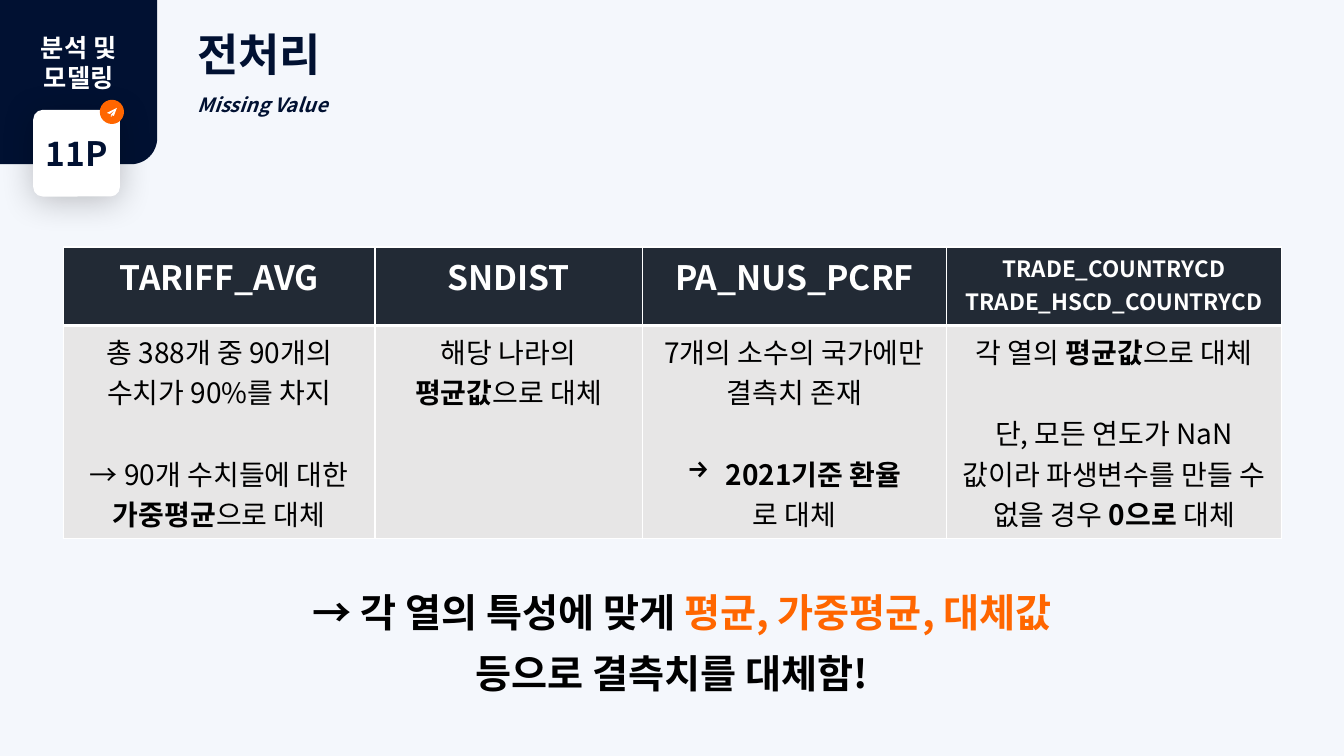
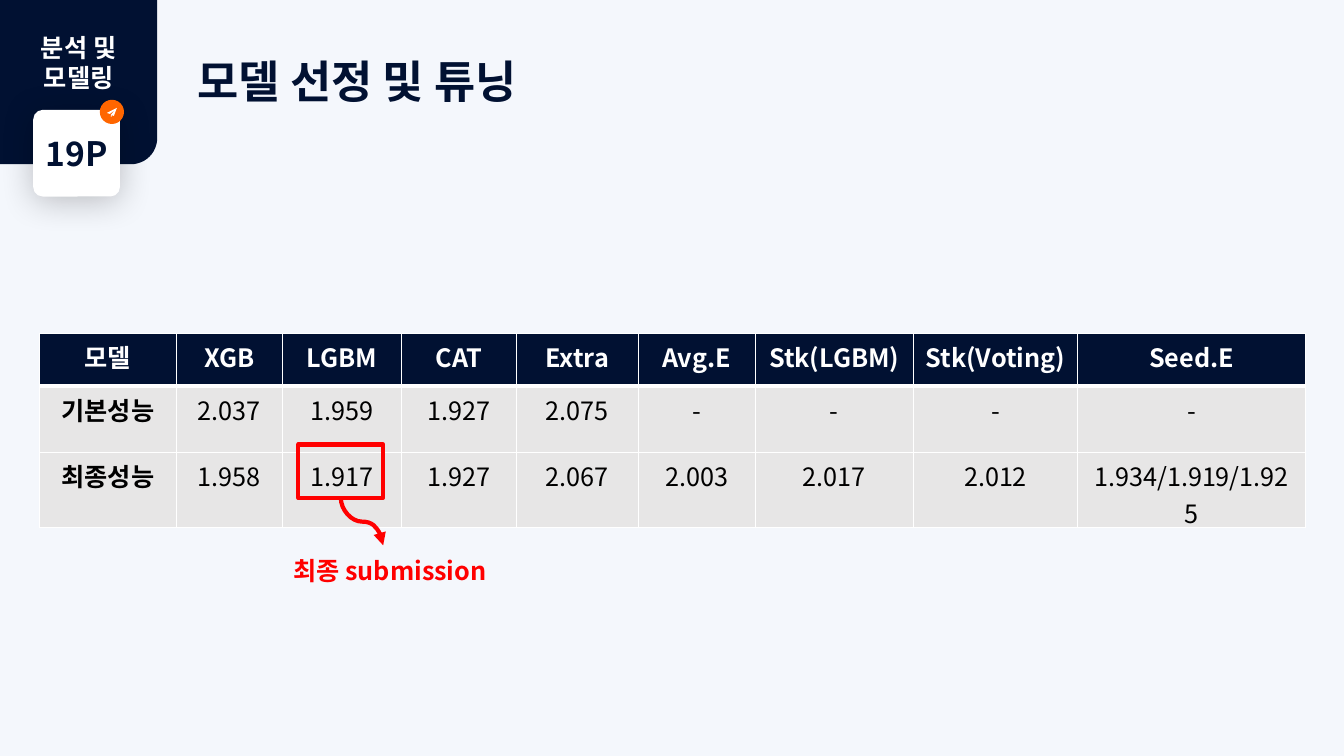
from dataclasses import dataclass

from lxml.etree import SubElement
from pptx import Presentation
from pptx.dml.color import RGBColor
from pptx.enum.shapes import MSO_CONNECTOR, MSO_SHAPE
from pptx.enum.text import MSO_ANCHOR, MSO_AUTO_SIZE, PP_ALIGN
from pptx.oxml.ns import qn
from pptx.util import Inches, Pt

FONT = "Noto Sans CJK KR"
COLORS = {
    "background": "F4F7FC",
    "navy": "011132",
    "slate": "222A35",
    "cell": "E7E6E6",
    "orange": "FF6600",
    "red": "FF0000",
    "white": "FFFFFF",
    "black": "000000",
}
BOLD = {"bold": True}
GAP = 29  # one line of 20 pt text, in points


@dataclass
class Para:
    """Runs are strings or (text, format) pairs."""
    runs: list
    align: PP_ALIGN = PP_ALIGN.CENTER
    before: float = 0
    spacing: float = None
    indent: float = 0
    bullet: str = None


def rgb(name):
    return RGBColor.from_string(COLORS[name])


def child(parent, tag, **attributes):
    return SubElement(parent, qn(tag), attributes)


# Text
def write_run(paragraph, text, fmt):
    run = paragraph.add_run()
    run.text = text
    values = {"name": FONT, "bold": False, **fmt}
    run.font.color.rgb = rgb(values.pop("color"))
    values["size"] = Pt(values["size"])
    for attribute, value in values.items():
        setattr(run.font, attribute, value)
    child(run.font._element, "a:ea", typeface=FONT)


def write(frame, paras, **fmt):
    for index, para in enumerate(paras):
        paragraph = frame.add_paragraph() if index else frame.paragraphs[0]
        paragraph.alignment = para.align
        if para.before:
            paragraph.space_before = Pt(para.before)
        if para.spacing:
            paragraph.line_spacing = para.spacing
        properties = paragraph._p.get_or_add_pPr()
        if para.indent:
            properties.set("marL", str(Inches(para.indent)))
        if para.bullet:
            properties.set("indent", str(-Inches(para.indent)))
            child(properties, "a:buChar", char=para.bullet)
        for run in para.runs:
            text, extra = (run, {}) if isinstance(run, str) else run
            write_run(paragraph, text, {**fmt, **extra})


def add_text(slide, left, top, width, height, paras, **fmt):
    box = slide.shapes.add_textbox(*map(Inches, (left, top, width, height)))
    box.text_frame.word_wrap = True
    box.text_frame.auto_size = MSO_AUTO_SIZE.SHAPE_TO_FIT_TEXT
    write(box.text_frame, paras, **fmt)


# Shapes
def paint(shape, fill):
    shape.shadow.inherit = False
    shape.fill.solid()
    shape.fill.fore_color.rgb = rgb(fill)
    shape.line.fill.background()


def add_block(slide, kind, left, top, width, height, fill):
    block = slide.shapes.add_shape(kind, *map(Inches, (left, top, width, height)))
    paint(block, fill)
    return block


def add_plane(slide, left, top):
    wing, *wings = [(10, 0), (0, 5), (3, 6), (8, 2), (4, 7), (7, 8)]
    tail, *tails = [(4, 7), (5, 8), (4, 9)]
    builder = slide.shapes.build_freeform(*wing, scale=Inches(0.01))
    builder.add_line_segments(wings, close=True)
    builder.move_to(*tail)
    builder.add_line_segments(tails, close=True)
    paint(builder.convert_to_shape(Inches(left), Inches(top)), "white")


def add_page_card(slide, left, top, page):
    side, dot = 0.86, 0.24
    card = add_block(slide, MSO_SHAPE.ROUNDED_RECTANGLE, left, top, side, side, "white")
    card.adjustments[0] = 0.11
    shadow = child(card._element.spPr.find(qn("a:effectLst")), "a:outerShdw",
                   blurRad=str(Pt(25)), dist=str(Pt(3)), dir="5400000", rotWithShape="0")
    shade = child(shadow, "a:srgbClr", val=COLORS["black"])
    child(shade, "a:alpha", val="24000")
    card.text_frame.word_wrap = False
    card.text_frame.vertical_anchor = MSO_ANCHOR.MIDDLE
    write(card.text_frame, [Para([page])], size=24, color="navy", bold=True)
    # Orange badge on the card's corner
    dot_left, dot_top = left + side - 0.2, top - 0.1
    add_block(slide, MSO_SHAPE.OVAL, dot_left, dot_top, dot, dot, "orange")
    add_plane(slide, dot_left + 0.07, dot_top + 0.08)


def add_base(deck, page, title):
    slide = deck.slides.add_slide(deck.slide_layouts[6])
    slide.background.fill.solid()
    slide.background.fill.fore_color.rgb = rgb("background")
    # Section corner, rounded at the bottom right
    corner = add_block(slide, MSO_SHAPE.ROUND_1_RECTANGLE, 0, 0, 1.56, 1.63, "navy")
    corner._element.spPr.xfrm.set("flipV", "1")
    add_page_card(slide, 0.33, 1.09, page)
    add_text(slide, 0, 0.27, 1.56, 0.71, [Para(["분석 및"]), Para(["모델링"])],
             size=18, color="white", bold=True)
    add_text(slide, 1.86, 0.22, 6.67, 0.95, title, size=32, color="navy", bold=True)
    return slide


# Tables
def fill_cell(cell, fill, top, bottom):
    properties = cell._tc.get_or_add_tcPr()
    for side, width in {"L": 1, "R": 1, "T": top, "B": bottom}.items():
        line = child(properties, f"a:ln{side}", w=str(Pt(width)))
        child(child(line, "a:solidFill"), "a:srgbClr", val=COLORS["white"])
    cell.fill.solid()
    cell.fill.fore_color.rgb = rgb(fill)


def add_grid(slide, left, top, widths, heights, rows, header, header_size, body_size):
    table = slide.shapes.add_table(
        len(rows), len(widths),
        *map(Inches, (left, top, sum(widths), sum(heights)))).table
    table.horz_banding = False
    for column, width in zip(table.columns, widths):
        column.width = Inches(width)
    for row, height in zip(table.rows, heights):
        row.height = Inches(height)
    for r, row in enumerate(rows):
        is_header = r == 0
        fmt = {"size": header_size if is_header else body_size,
               "color": "white" if is_header else "black", "bold": is_header}
        for c, paras in enumerate(row):
            cell = table.cell(r, c)
            fill_cell(cell, header if is_header else "cell",
                      3 if r == 1 else 1, 3 if is_header else 1)
            write(cell.text_frame, paras, **fmt)


# Final submission mark: frame, curved arrow and label
def add_submission_mark(slide, left, top):
    width, height = 0.84, 0.53
    frame = slide.shapes.add_shape(
        MSO_SHAPE.RECTANGLE, *map(Inches, (left, top, width, height)))
    frame.shadow.inherit = False
    frame.fill.background()
    # A quarter turn makes the curve leave downwards
    drop, run = 0.47, 0.42
    middle_x = left + width / 2 + run / 2
    middle_y = top + height + drop / 2
    arrow = slide.shapes.add_connector(
        MSO_CONNECTOR.CURVE,
        Inches(middle_x - drop / 2), Inches(middle_y - run / 2),
        Inches(middle_x + drop / 2), Inches(middle_y + run / 2))
    for attribute, value in {"rot": "16200000", "flipH": "1"}.items():
        arrow._element.spPr.xfrm.set(attribute, value)
    for outlined in (frame, arrow):
        outlined.line.color.rgb = rgb("red")
        outlined.line.width = Pt(3)
    child(arrow.line._get_or_add_ln(), "a:tailEnd", type="triangle")
    child(arrow._element.spPr, "a:effectLst")
    add_text(slide, left - 0.15, top + 1.05, 2.38, 0.4,
             [Para(["최종 submission"], PP_ALIGN.LEFT)], size=18, color="red", bold=True)


def add_missing_value_slide(deck):
    slide = add_base(deck, "11P", [
        Para(["전처리"], PP_ALIGN.LEFT),
        Para([("Missing Value", {"size": 14, "italic": True})], PP_ALIGN.LEFT, spacing=1.5),
    ])
    orange = {"color": "orange"}
    add_text(slide, 0, 5.65, 13.33, 1.26, [
        Para(["→ 각 열의 특성에 맞게 ", ("평균, 가중평균, 대체값", orange)],
             spacing=1.3, indent=0.2),
        Para(["등으로 결측치를 대체함!"], spacing=1.3),
    ], size=28, color="black", bold=True)
    small = {"size": 16}
    headers = [
        [Para(["TARIFF_AVG"])],
        [Para(["SNDIST"])],
        [Para(["PA_NUS_PCRF"])],
        [Para([("TRADE_COUNTRYCD", small)]), Para([("TRADE_HSCD_COUNTRYCD", small)])],
    ]
    treatments = [
        [Para(["총 388개 중 90개의 수치가 90%를 차지"]),
         Para(["→ 90개 수치들에 대한 ", ("가중평균", BOLD), "으로 대체"], before=GAP)],
        [Para(["해당 나라의"]), Para([("평균값", BOLD), "으로 대체"])],
        [Para(["7개의 소수의 국가에만 결측치 존재"]),
         Para([("2021기준 환율", BOLD)], before=GAP, indent=0.38, bullet="→"),
         Para(["로 대체"])],
        [Para(["각 열의 ", ("평균값", BOLD), "으로 대체"]),
         Para(["단, 모든 연도가 NaN값이라 파생변수를 만들 수 없을 경우 ",
               ("0으로", BOLD), " 대체"], before=GAP)],
    ]
    add_grid(slide, 0.63, 2.45, [3.09, 2.65, 3.02, 3.32], [0.78, 2.11],
             [headers, treatments], "slate", 24, 20)


def add_model_slide(deck):
    slide = add_base(deck, "19P", [
        Para(["모델 선정 및 튜닝"], PP_ALIGN.LEFT, spacing=1.5)])
    scores = [
        ["모델", "XGB", "LGBM", "CAT", "Extra", "Avg.E", "Stk(LGBM)", "Stk(Voting)", "Seed.E"],
        ["기본성능", "2.037", "1.959", "1.927", "2.075", "-", "-", "-", "-"],
        ["최종성능", "1.958", "1.917", "1.927", "2.067", "2.003", "2.017", "2.012",
         "1.934/1.919/1.925"],
    ]
    rows = [[[Para([(name, BOLD)])], *([Para([score])] for score in values)]
            for name, *values in scores]
    add_grid(slide, 0.39, 3.31, [1.36, 1.05, 1.18, 1.14, 1.21, 1.16, 1.57, 1.63, 2.26],
             [0.52, 0.66, 0.74], rows, "navy", 18, 18)
    add_submission_mark(slide, 2.96, 4.41)


def main():
    deck = Presentation()
    deck.slide_width, deck.slide_height = Inches(13.33), Inches(7.5)
    add_missing_value_slide(deck)
    add_model_slide(deck)
    deck.save("out.pptx")


if __name__ == "__main__":
    main()
